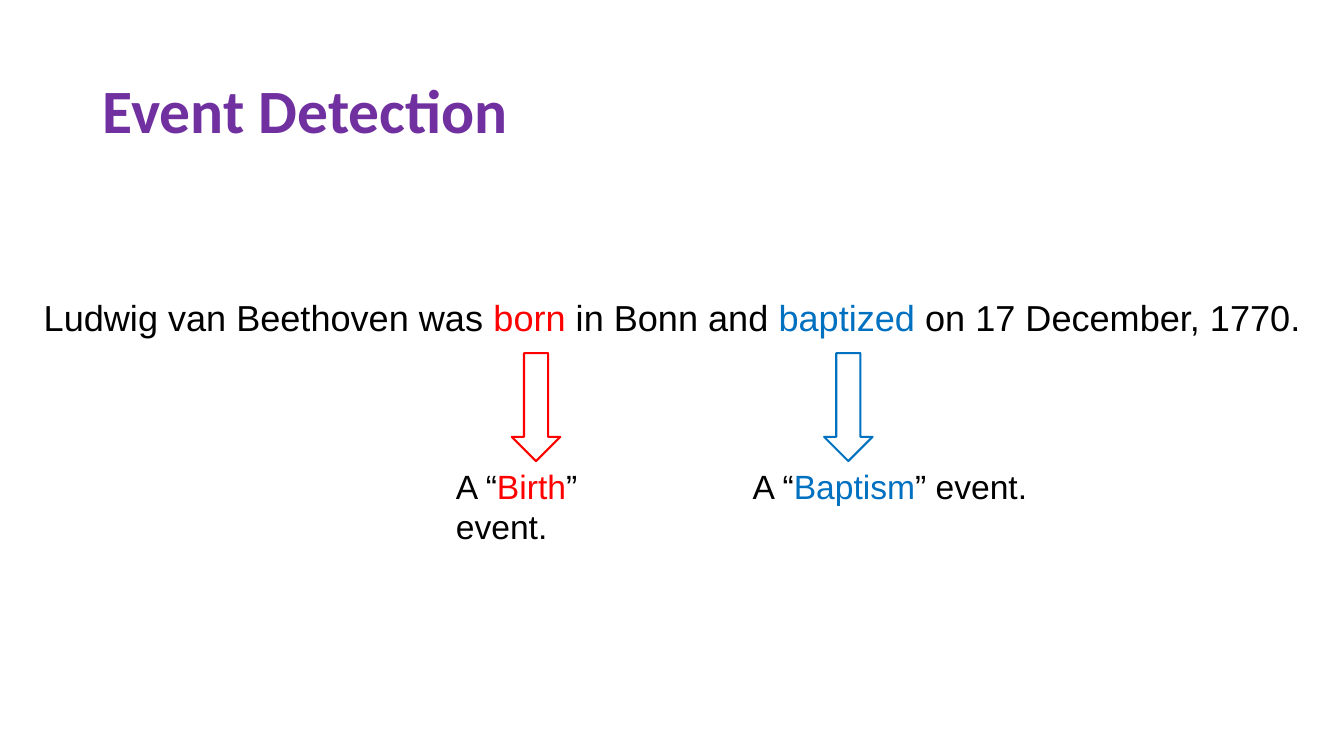
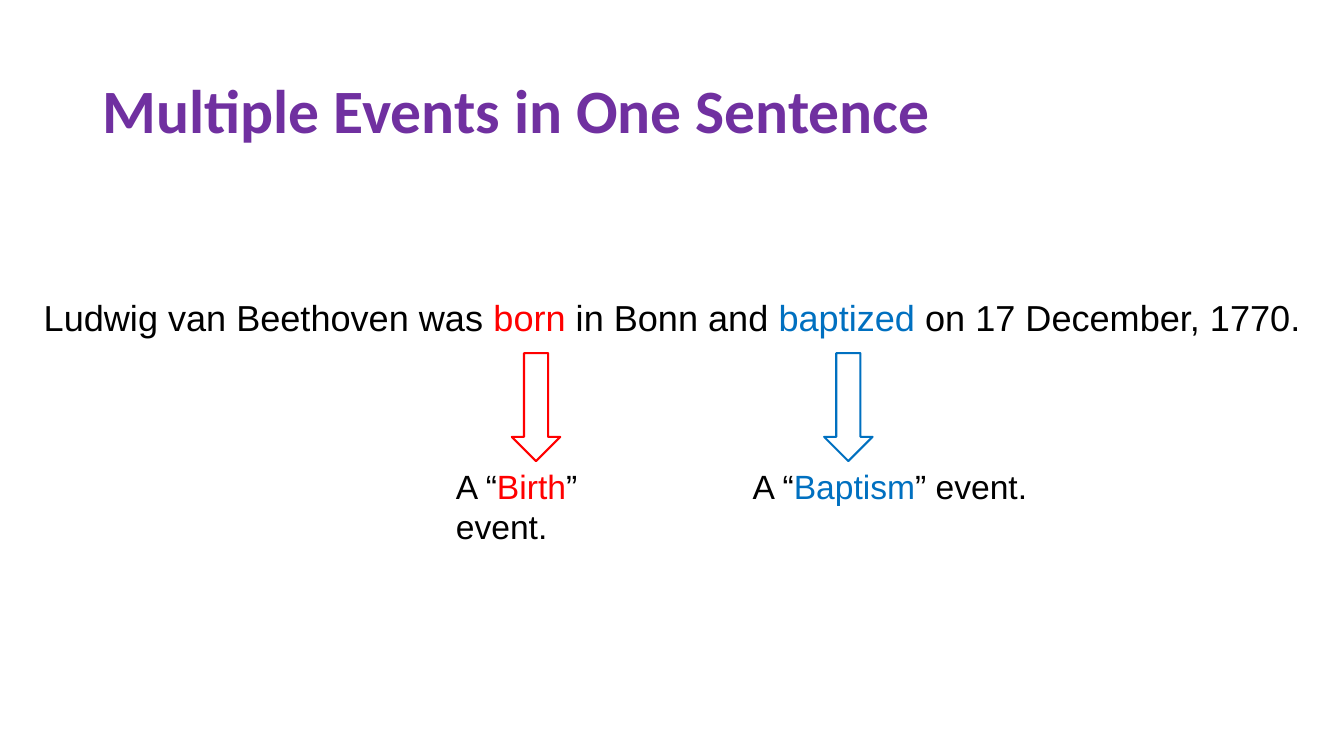
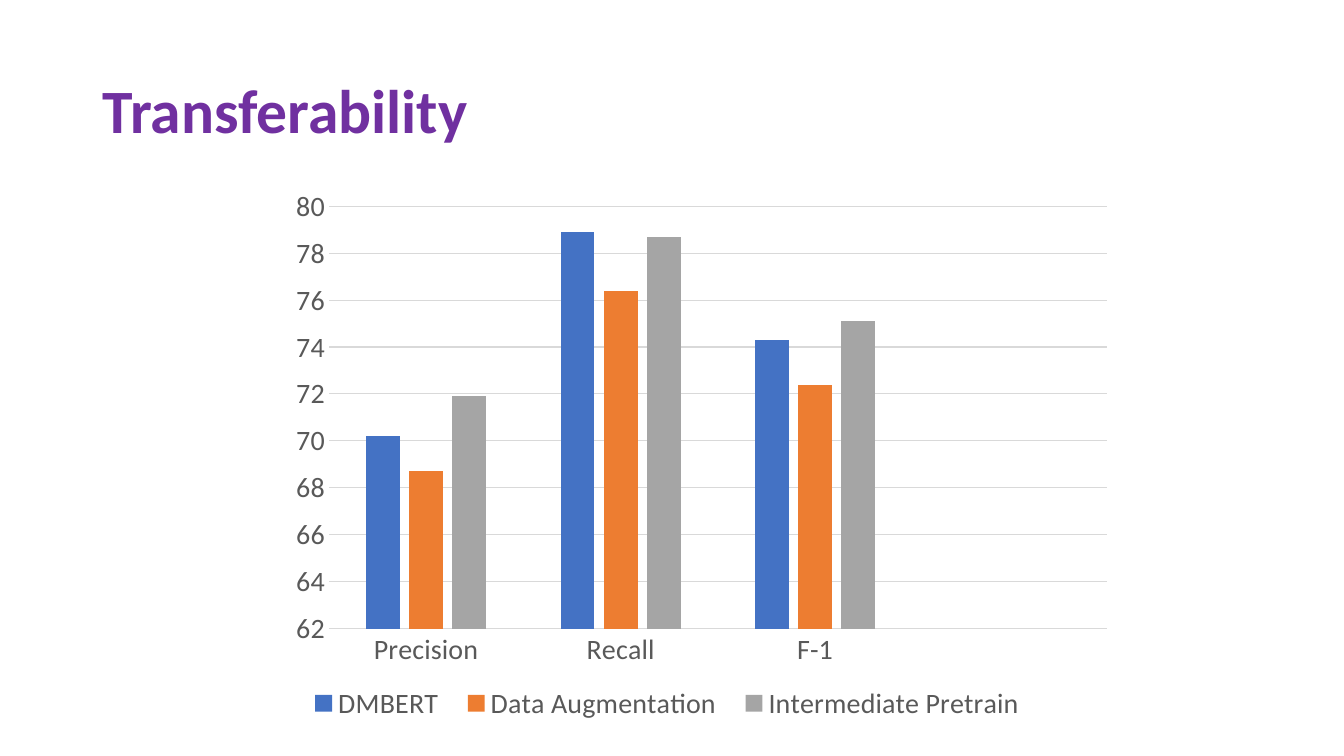
from dataclasses import dataclass

from lxml.etree import SubElement
from pptx import Presentation
from pptx.chart.data import CategoryChartData
from pptx.dml.color import RGBColor
from pptx.enum.chart import XL_CHART_TYPE as ChartType
from pptx.enum.chart import XL_LEGEND_POSITION as LegendPosition
from pptx.enum.chart import XL_TICK_MARK as TickMark
from pptx.enum.shapes import MSO_SHAPE as Shape
from pptx.enum.text import MSO_ANCHOR as Anchor
from pptx.enum.text import PP_ALIGN as Align
from pptx.oxml.ns import qn
from pptx.util import Cm, Pt


@dataclass(frozen=True)
class Theme:
    title: RGBColor = RGBColor(0x70, 0x30, 0xA0)
    text: RGBColor = RGBColor(0, 0, 0)
    paper: RGBColor = RGBColor(255, 255, 255)
    birth: RGBColor = RGBColor(255, 0, 0)
    baptism: RGBColor = RGBColor(0, 0x70, 0xC0)
    chart_text: RGBColor = RGBColor(0x59, 0x59, 0x59)
    grid: RGBColor = RGBColor(0xD9, 0xD9, 0xD9)
    heading_font: str = "Calibri"
    body_font: str = "Arial"
    title_size: Pt = Pt(44)
    sentence_size: Pt = Pt(25.8)
    event_size: Pt = Pt(24)
    chart_size: Pt = Pt(20)


THEME = Theme()

# Content
EVENT_TITLES = ["Event Detection", "Multiple Events in One Sentence"]
SENTENCE = [
    ("Ludwig van Beethoven was ", THEME.text),
    ("born", THEME.birth),
    (" in Bonn and ", THEME.text),
    ("baptized", THEME.baptism),
    (" on 17 December, 1770.", THEME.text),
]
# Event name, colour, arrow left, label left, label width (cm)
EVENTS = [
    ("Birth", THEME.birth, 12.9, 11.24, 6.0),
    ("Baptism", THEME.baptism, 20.77, 18.72, 7.65),
]
SCORES_TITLE = "Transferability"
MEASURES = ["Precision", "Recall", "F-1", ""]
SCORES = [
    ("DMBERT", (70.2, 78.9, 74.3, None), RGBColor(0x44, 0x72, 0xC4)),
    ("Data Augmentation", (68.7, 76.4, 72.4, None), RGBColor(0xED, 0x7D, 0x31)),
    ("Intermediate Pretrain", (71.9, 78.7, 75.1, None), RGBColor(0xA5, 0xA5, 0xA5)),
]
# Left, top, width, height as shares of the chart
PLOT_AREA = (0.06, 0.05, 0.92, 0.765)
LEGEND_AREA = (0.02, 0.92, 0.88, 0.07)


def style_font(font, size, color, name):
    font.size, font.name = size, name
    font.color.rgb = color


def add_titled_slide(deck, heading):
    slide = deck.slides.add_slide(deck.slide_layouts[5])
    title = slide.shapes.title
    title.left, title.top, title.width, title.height = Cm(2.34), Cm(1.02), Cm(29.21), Cm(3.68)
    frame = title.text_frame
    frame.text = heading
    frame.vertical_anchor = Anchor.MIDDLE
    line = frame.paragraphs[0]
    line.alignment, line.line_spacing = Align.LEFT, 0.9
    style_font(line.font, THEME.title_size, THEME.title, THEME.heading_font)
    line.font.bold = True
    return slide


def add_colored_line(slide, box, pieces, size):
    """Add a text box with one paragraph of coloured pieces."""
    frame = slide.shapes.add_textbox(*map(Cm, box)).text_frame
    frame.word_wrap = True
    line = frame.paragraphs[0]
    line.font.size, line.font.name = size, THEME.body_font
    for text, color in pieces:
        run = line.add_run()
        run.text = text
        run.font.color.rgb = color
    return line


def add_event_slide(deck, heading):
    slide = add_titled_slide(deck, heading)
    sentence = add_colored_line(slide, (0.43, 7.62, 33.02, 1.9), SENTENCE, THEME.sentence_size)
    sentence.alignment, sentence.line_spacing = Align.CENTER, 0.7

    # Each trigger word points down to its event
    for event, color, arrow_left, label_left, label_width in EVENTS:
        arrow = slide.shapes.add_shape(
            Shape.DOWN_ARROW, Cm(arrow_left), Cm(8.9), Cm(1.22), Cm(2.72))
        arrow.shadow.inherit = False
        arrow.fill.solid()
        arrow.fill.fore_color.rgb = THEME.paper
        arrow.line.color.rgb = color
        arrow.line.width = Pt(1.5)
        pieces = [("A “", THEME.text), (event, color), ("” event.", THEME.text)]
        add_colored_line(slide, (label_left, 11.62, label_width, 1.27), pieces, THEME.event_size)


def place_in_chart(layout, area, inner=False):
    """Fix a chart part at the given shares of the chart."""
    for old in list(layout):
        layout.remove(old)
    manual = SubElement(layout, qn("c:manualLayout"))
    settings = [("layoutTarget", "inner")] if inner else []
    settings += [("xMode", "edge"), ("yMode", "edge"), *zip("xywh", area)]
    for tag, value in settings:
        SubElement(manual, qn(f"c:{tag}")).set("val", str(value))


def layout_of(part, before):
    """Return the layout element of a chart part, made after `before` if missing."""
    layout = part.find(qn("c:layout"))
    if layout is None:
        layout = SubElement(part, qn("c:layout"))
        if before is None:
            part.insert(0, layout)
        else:
            before.addnext(layout)
    return layout


def add_score_slide(deck):
    slide = add_titled_slide(deck, SCORES_TITLE)
    data = CategoryChartData()
    data.categories = MEASURES
    for model, values, _ in SCORES:
        data.add_series(model, values)
    chart = slide.shapes.add_chart(
        ChartType.COLUMN_CLUSTERED, Cm(7.01), Cm(4.5), Cm(21.31), Cm(13.92), data).chart
    style_font(chart.font, THEME.chart_size, THEME.chart_text, THEME.heading_font)
    chart.has_title = False

    # Columns
    plot = chart.plots[0]
    plot.gap_width, plot.overlap, plot.vary_by_categories = 219, -27, False
    for series, (_, _, color) in zip(plot.series, SCORES):
        series.format.fill.solid()
        series.format.fill.fore_color.rgb = color

    # Axes and grid
    measures, scores = chart.category_axis, chart.value_axis
    for axis in (measures, scores):
        axis.major_tick_mark = axis.minor_tick_mark = TickMark.NONE
    scores.minimum_scale, scores.maximum_scale, scores.major_unit = 62, 80, 2
    scores.tick_labels.number_format = "General"
    scores.tick_labels.number_format_is_linked = False
    scores.format.line.fill.background()
    for line in (measures.format.line, scores.major_gridlines.format.line):
        line.color.rgb = THEME.grid
        line.width = Pt(0.75)

    # Legend and layout
    chart.has_legend = True
    chart.legend.position = LegendPosition.BOTTOM
    chart.legend.include_in_layout = False
    chart_xml = chart.element.find(qn("c:chart"))
    plot_xml, legend_xml = chart_xml.find(qn("c:plotArea")), chart_xml.find(qn("c:legend"))
    place_in_chart(layout_of(plot_xml, None), PLOT_AREA, inner=True)
    place_in_chart(layout_of(legend_xml, legend_xml.find(qn("c:legendPos"))), LEGEND_AREA)


def main():
    deck = Presentation()
    deck.slide_width, deck.slide_height = Cm(33.87), Cm(19.05)
    for heading in EVENT_TITLES:
        add_event_slide(deck, heading)
    add_score_slide(deck)
    deck.save("out.pptx")


if __name__ == "__main__":
    main()
